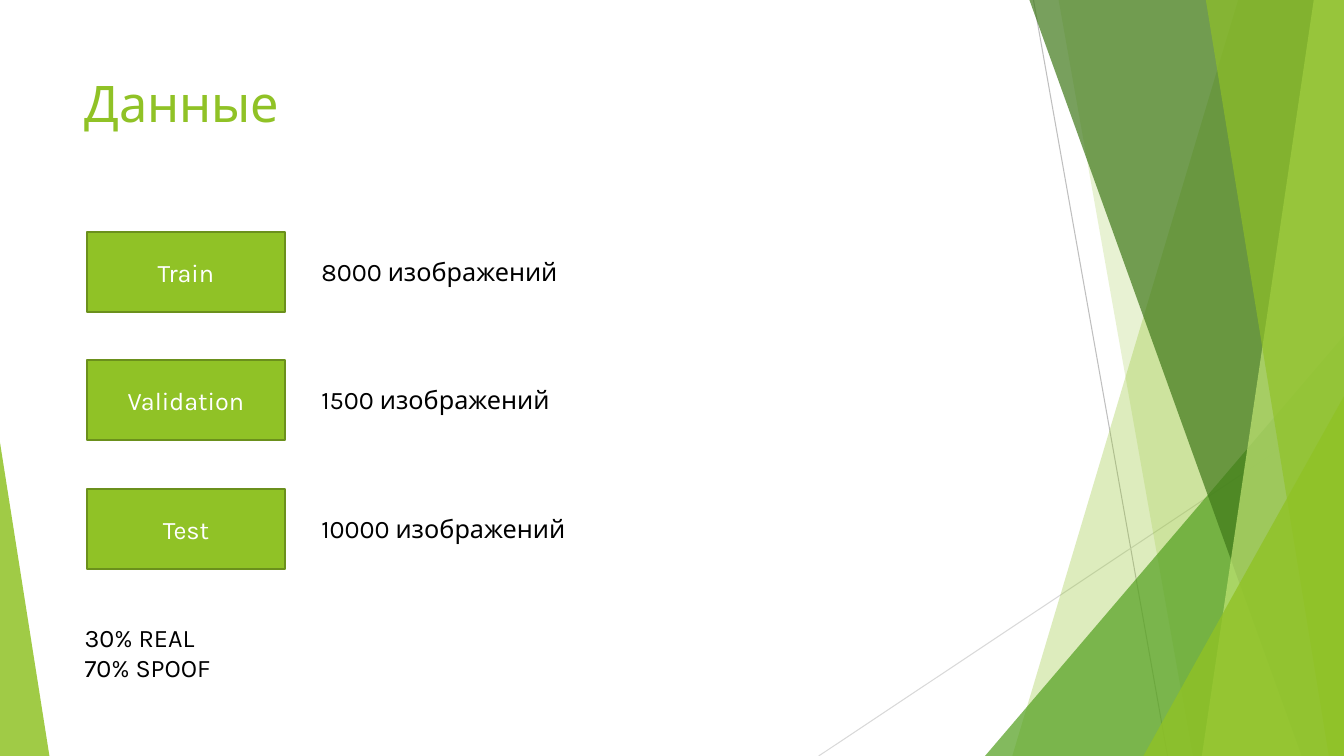
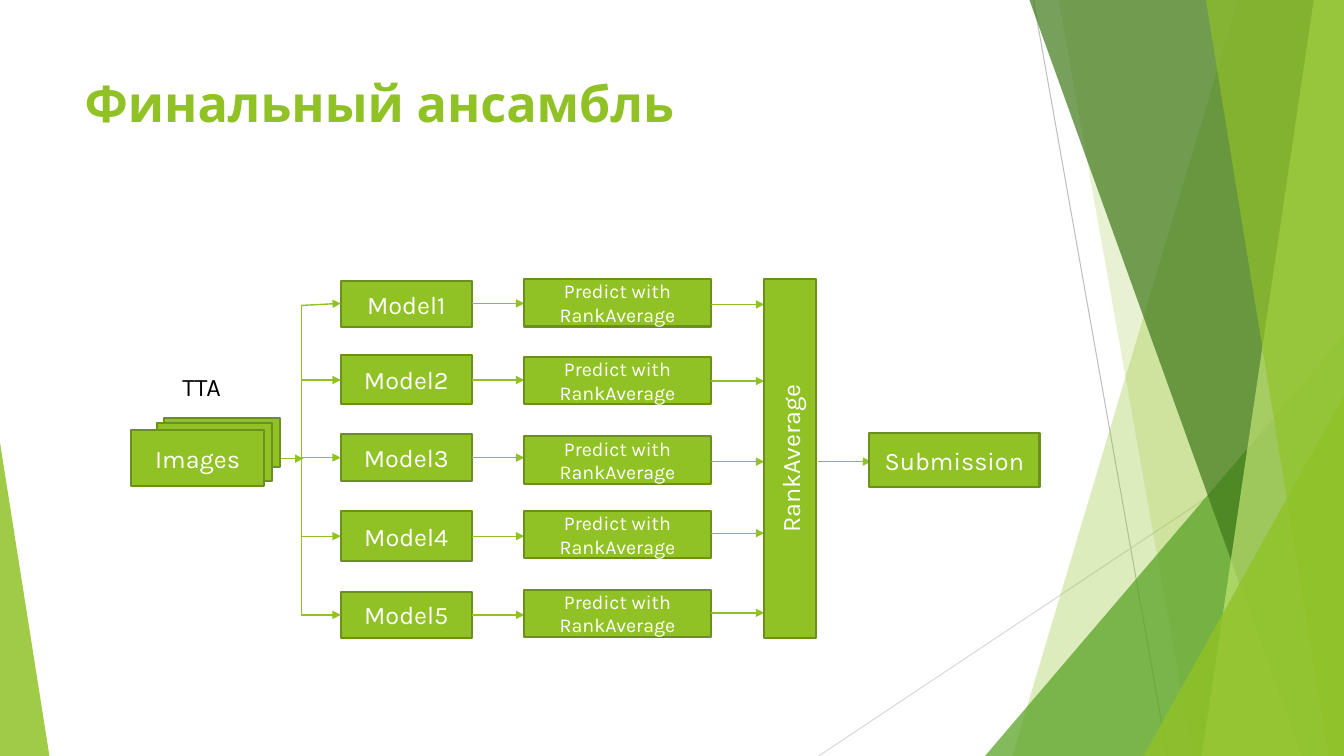
"""Build two slides on the image data and the final ensemble."""
import dataclasses

import lxml.etree
import pptx
import pptx.dml.color
import pptx.enum.shapes
import pptx.enum.text
import pptx.oxml.ns
import pptx.presentation
import pptx.shapes.base
import pptx.slide
import pptx.text.text
import pptx.util

SCALE = 9144
WIDE, HIGH = 1333, 750
FONT = "Karla"
HUES = {
    "lime": "90C226", "edge": "6B901C", "leaf": "54A021", "pine": "3F7819",
    "pale": "C0E474", "ash": "BFBFBF", "mist": "D9D9D9", "white": "FFFFFF", "black": "000000",
}
KIND = pptx.enum.shapes.MSO_SHAPE
ALIGN = pptx.enum.text.PP_ALIGN
ANCHOR = pptx.enum.text.MSO_ANCHOR


@dataclasses.dataclass(frozen=True)
class Box:
    left: int
    top: int
    width: int
    height: int


@dataclasses.dataclass(frozen=True)
class Shard:
    high: int
    low: int
    hue: str
    alpha: int


@dataclasses.dataclass(frozen=True)
class Wedge:
    box: Box
    tip: int
    hue: str
    alpha: int


@dataclasses.dataclass(frozen=True)
class Split:
    name: str
    count: str
    top: int


@dataclasses.dataclass(frozen=True)
class Row:
    model: int
    height: int
    wire: int
    bend: int
    guess: int
    exit: int


DECOR = (
    Shard(1228, 1004, "lime", 30),
    Shard(1050, 1183, "lime", 20),
    Wedge(Box(977, 333, 356, 417), 1, "leaf", 72),
    Shard(1021, 1291, "pine", 70),
    Shard(1303, 1192, "pale", 70),
    Shard(1196, 1318, "lime", 65),
    Wedge(Box(1134, 393, 199, 357), 1, "lime", 80),
    Wedge(Box(0, 439, 49, 311), 0, "lime", 85),
)
SPLITS = (
    Split("Train", "8000 изображений", 230),
    Split("Validation", "1500 изображений", 357),
    Split("Test", "10000 изображений", 485),
)
ROWS = (
    Row(279, 45, 301, 303, 277, 302),
    Row(352, 49, 377, 377, 354, 378),
    Row(431, 46, 454, 454, 433, 458),
    Row(507, 50, 532, 532, 507, 529),
    Row(587, 46, 610, 610, 585, 608),
)


def px(size: int) -> pptx.util.Emu:
    return pptx.util.Emu(size * SCALE)


def frame(box: Box) -> tuple[pptx.util.Emu, ...]:
    return tuple(px(side) for side in dataclasses.astuple(box))


def paint(hue: str) -> pptx.dml.color.RGBColor:
    return pptx.dml.color.RGBColor.from_string(HUES[hue])


def tag(name: str) -> str:
    return pptx.oxml.ns.qn(name)


def write(text: pptx.text.text.TextFrame, lines: tuple[str, ...], size: int, hue: str,
          align: ALIGN = ALIGN.LEFT, bold: bool = False) -> None:
    text.word_wrap = True
    for spot, line in enumerate(lines):
        para = text.add_paragraph() if spot else text.paragraphs[0]
        para.alignment = align
        run = para.add_run()
        run.text = line
        run.font.name = FONT
        run.font.size = pptx.util.Pt(size)
        run.font.bold = bold
        run.font.color.rgb = paint(hue)


def note(slide: pptx.slide.Slide, box: Box, *lines: str, size: int = 18, hue: str = "black",
         align: ALIGN = ALIGN.LEFT, bold: bool = False) -> None:
    write(slide.shapes.add_textbox(*frame(box)).text_frame, lines, size, hue, align, bold)


def block(slide: pptx.slide.Slide, box: Box, label: str = "", size: int = 18,
          turn: bool = False) -> None:
    shape = slide.shapes.add_shape(KIND.RECTANGLE, *frame(box))
    shape.shadow.inherit = False
    shape.fill.solid()
    shape.fill.fore_color.rgb = paint("lime")
    shape.line.color.rgb = paint("edge")
    shape.line.width = pptx.util.Pt(1.5)
    if label:
        text = shape.text_frame
        text.vertical_anchor = ANCHOR.MIDDLE
        write(text, (label,), size, "white", ALIGN.CENTER)
        if turn:
            text._txBody.bodyPr.set("vert", "vert270")


def line(slide: pptx.slide.Slide, x1: int, y1: int, x2: int, y2: int, hue: str = "lime",
         width: float = 1, arrow: bool = False) -> None:
    link = slide.shapes.add_connector(
        pptx.enum.shapes.MSO_CONNECTOR.STRAIGHT, px(x1), px(y1), px(x2), px(y2))
    link.line.color.rgb = paint(hue)
    link.line.width = pptx.util.Pt(width)
    props = link.element.spPr
    if arrow:
        lxml.etree.SubElement(props.find(tag("a:ln")), tag("a:tailEnd"), type="triangle")
    lxml.etree.SubElement(props, tag("a:effectLst"))


def tint(shape: pptx.shapes.base.BaseShape, hue: str, alpha: int) -> None:
    shape.shadow.inherit = False
    shape.line.fill.background()
    shape.fill.solid()
    shape.fill.fore_color.rgb = paint(hue)
    fill = shape.element.spPr.find(tag("a:solidFill"))
    lxml.etree.SubElement(fill[0], tag("a:alpha"), val=str(alpha * 1000))


def decor(slide: pptx.slide.Slide) -> None:
    line(slide, 1025, 0, 1158, HIGH, "ash", 0.75)
    line(slide, WIDE, 403, 812, HIGH, "mist", 0.75)
    for part in DECOR:
        if isinstance(part, Shard):
            pen = slide.shapes.build_freeform(part.high, 0, SCALE)
            pen.add_line_segments([(WIDE, 0), (WIDE, HIGH), (part.low, HIGH)])
            shape = pen.convert_to_shape()
        else:
            shape = slide.shapes.add_shape(KIND.ISOSCELES_TRIANGLE, *frame(part.box))
            shape.adjustments[0] = part.tip
        tint(shape, part.hue, part.alpha)


def start(deck: pptx.presentation.Presentation, title: str,
          bold: bool = False) -> pptx.slide.Slide:
    slide = deck.slides.add_slide(deck.slide_layouts[6])
    decor(slide)
    note(slide, Box(74, 67, 940, 144), title, size=36, hue="lime", bold=bold)
    return slide


def data(deck: pptx.presentation.Presentation) -> None:
    slide = start(deck, "Данные")
    for split in SPLITS:
        block(slide, Box(86, split.top, 197, 80), split.name)
        note(slide, Box(309, split.top + 19, 266, 40), split.count)
    note(slide, Box(74, 612, 667, 71), "30% REAL", "70% SPOOF", align=ALIGN.JUSTIFY)


def blend(deck: pptx.presentation.Presentation) -> None:
    slide = start(deck, "Финальный ансамбль", bold=True)
    line(slide, 299, 303, 299, 610)
    line(slide, 262, 455, 301, 455, arrow=True)
    for rank, row in enumerate(ROWS, 1):
        block(slide, Box(338, row.model, 130, row.height), f"Model{rank}")
        line(slide, 299, row.bend, 338, row.wire, arrow=True)
        line(slide, 468, row.wire, 520, row.wire, arrow=True)
        block(slide, Box(520, row.guess, 185, 47), "Predict with RankAverage", size=14)
        line(slide, 705, row.exit, 758, row.exit, arrow=True)
    block(slide, Box(163, 415, 115, 48))
    block(slide, Box(156, 420, 114, 57))
    block(slide, Box(130, 427, 132, 55), "Images")
    note(slide, Box(171, 363, 91, 40), "TTA")
    block(slide, Box(758, 277, 51, 356), "RankAverage", turn=True)
    line(slide, 811, 458, 864, 458, arrow=True)
    block(slide, Box(862, 430, 169, 53), "Submission")


def main() -> None:
    deck = pptx.Presentation()
    deck.slide_width, deck.slide_height = px(WIDE), px(HIGH)
    data(deck)
    blend(deck)
    deck.save("out.pptx")


if __name__ == "__main__":
    main()
